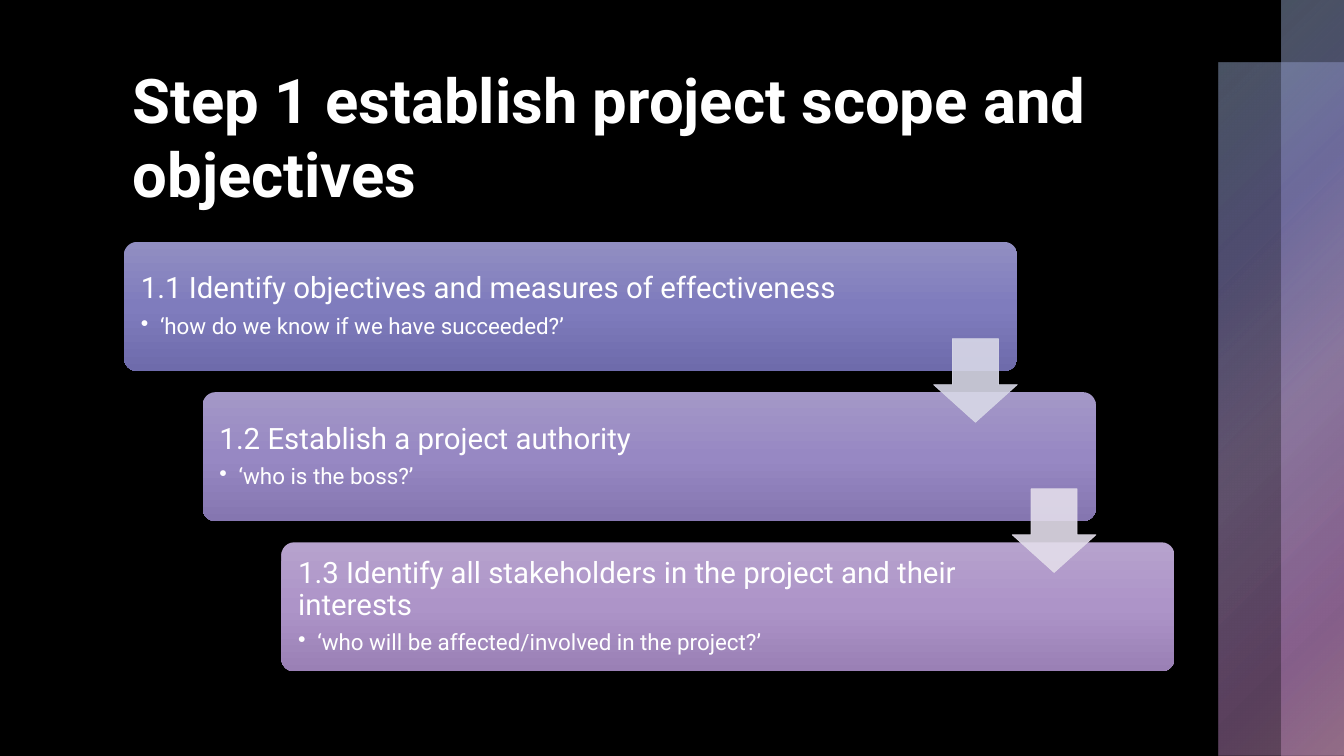
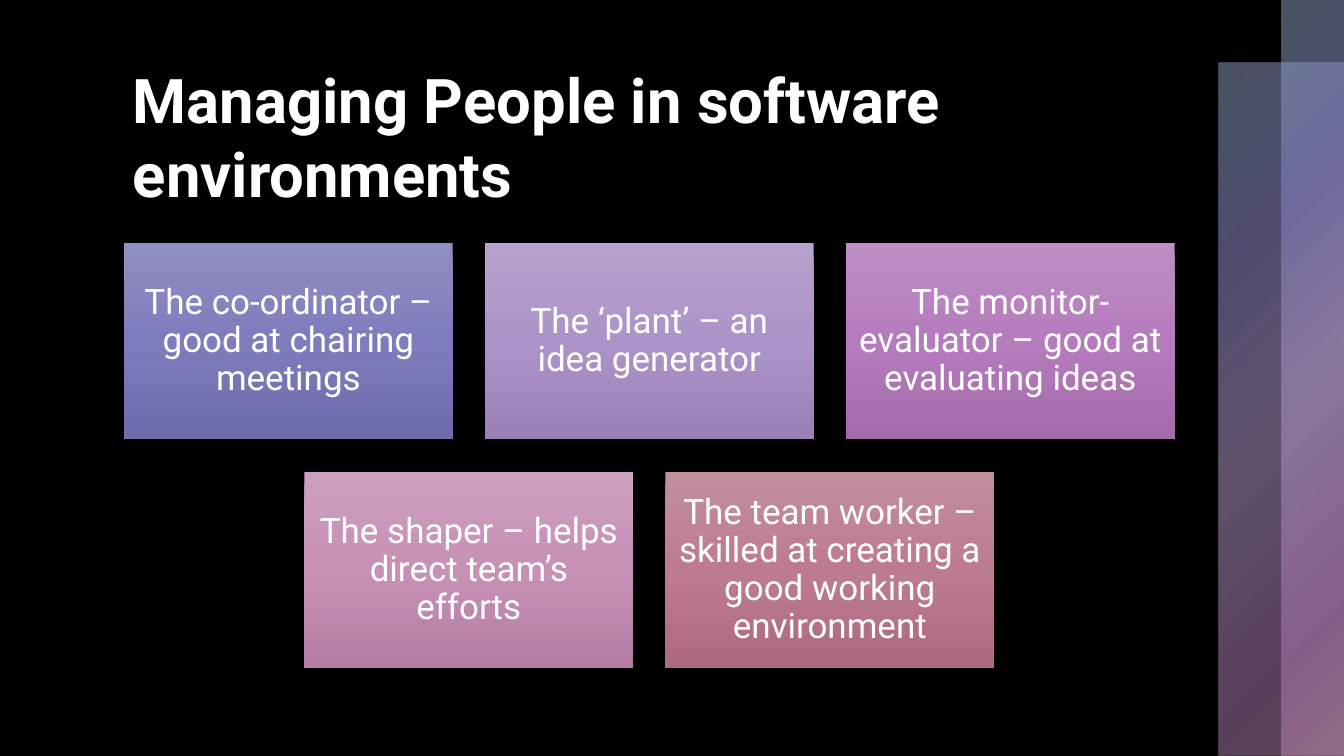
from lxml import etree
from pptx import Presentation
from pptx.dml.color import RGBColor
from pptx.enum.shapes import MSO_SHAPE
from pptx.enum.text import MSO_ANCHOR, PP_ALIGN
from pptx.oxml.ns import qn
from pptx.util import Inches, Pt

RECTANGLE = MSO_SHAPE.RECTANGLE
ROUNDED = MSO_SHAPE.ROUNDED_RECTANGLE
DOWN_ARROW = MSO_SHAPE.DOWN_ARROW
MIDDLE = MSO_ANCHOR.MIDDLE
LEFT = PP_ALIGN.LEFT
CENTER = PP_ALIGN.CENTER

BLACK = RGBColor(0x00, 0x00, 0x00)
WHITE = RGBColor(0xFF, 0xFF, 0xFF)
BLUE = (RGBColor(0x91, 0x8E, 0xC2), RGBColor(0x7F, 0x7C, 0xBD), RGBColor(0x6E, 0x6B, 0xAB))
VIOLET = (RGBColor(0xA4, 0x98, 0xC7), RGBColor(0x97, 0x88, 0xC3), RGBColor(0x85, 0x76, 0xB0))
LILAC = (RGBColor(0xB6, 0xA2, 0xCD), RGBColor(0xAD, 0x94, 0xC8), RGBColor(0x9A, 0x80, 0xB5))
ORCHID = (RGBColor(0xBC, 0x8E, 0xC2), RGBColor(0xB5, 0x7C, 0xBD), RGBColor(0xA4, 0x6B, 0xAB))
PINK = (RGBColor(0xCC, 0xA0, 0xBE), RGBColor(0xC7, 0x91, 0xB6), RGBColor(0xB4, 0x7D, 0xA3))
ROSE = (RGBColor(0xC2, 0x8E, 0x9C), RGBColor(0xBD, 0x7C, 0x8E), RGBColor(0xAB, 0x6B, 0x7C))
PALE_BLUE = RGBColor(0xD8, 0xD8, 0xE7)
PALE_LILAC = RGBColor(0xE3, 0xDD, 0xEA)
BAND_STOPS = (
    (0, RGBColor(0x92, 0xA4, 0xC4), 50),
    (25, RGBColor(0x82, 0x7F, 0xBA), 60),
    (50, RGBColor(0xAD, 0x96, 0xC6), 55),
    (81, RGBColor(0xB3, 0x7F, 0xBA), 50),
    (99, RGBColor(0xC5, 0x93, 0xB5), 50),
)

SLIDE_WIDTH, SLIDE_HEIGHT = 13.33, 7.5
MARGIN = 1.23


def set_alpha(color_element, percent):
    etree.SubElement(color_element, qn("a:alpha"), val=str(percent * 1000))


class Deck:
    font_name = "Roboto"

    def __init__(self):
        self.presentation = Presentation()
        self.presentation.slide_width = Inches(SLIDE_WIDTH)
        self.presentation.slide_height = Inches(SLIDE_HEIGHT)
        self.slide = None

    def new_slide(self, title):
        self.slide = self.presentation.slides.add_slide(self.presentation.slide_layouts[6])
        background = self.slide.background.fill
        background.solid()
        background.fore_color.rgb = BLACK
        for width, top in ((1.24, 0.62), (0.62, 0)):
            band = self.shape(RECTANGLE, SLIDE_WIDTH - width, top, width, SLIDE_HEIGHT - top)
            self.gradient(band, BAND_STOPS, radial=True)
        heading = self.slide.shapes.add_textbox(Inches(1.22), Inches(0.5), Inches(10.37), Inches(1.7))
        frame = heading.text_frame
        frame.word_wrap = True
        frame.vertical_anchor = MIDDLE
        self.set_text(frame.paragraphs[0], title, 44, bold=True)

    def shape(self, kind, left, top, width, height):
        shape = self.slide.shapes.add_shape(kind, Inches(left), Inches(top), Inches(width), Inches(height))
        shape.shadow.inherit = False
        shape.line.fill.background()
        return shape

    def gradient(self, shape, stops, radial=False):
        shape.fill.gradient()
        gradient = shape._element.spPr.find(qn("a:gradFill"))
        for child in list(gradient):
            gradient.remove(child)
        stop_list = etree.SubElement(gradient, qn("a:gsLst"))
        for position, color, alpha in stops:
            stop = etree.SubElement(stop_list, qn("a:gs"), pos=str(position * 1000))
            set_alpha(etree.SubElement(stop, qn("a:srgbClr"), val=str(color)), alpha)
        if radial:
            focus = etree.SubElement(gradient, qn("a:path"), {"path": "circle"})
            etree.SubElement(focus, qn("a:fillToRect"), r="100000", b="100000")
        else:
            etree.SubElement(gradient, qn("a:lin"), ang="5400000", scaled="0")

    def set_text(self, paragraph, text, size, align=LEFT, bold=False):
        paragraph.text = text
        paragraph.alignment = align
        font = paragraph.font
        font.name = self.font_name
        font.size = Pt(size)
        font.bold = bold
        font.color.rgb = WHITE

    def panel(self, kind, left, top, width, height, colors, inset, right_inset):
        panel = self.shape(kind, left, top, width, height)
        self.gradient(panel, [(50 * i, color, 100) for i, color in enumerate(colors)])
        frame = panel.text_frame
        frame.word_wrap = True
        frame.vertical_anchor = MIDDLE
        frame.margin_left = frame.margin_top = frame.margin_bottom = Inches(inset)
        frame.margin_right = Inches(right_inset)
        frame.paragraphs[0].line_spacing = 0.9
        return panel

    def step(self, left, top, width, height, colors, heading, question):
        step = self.panel(ROUNDED, left, top, width, height, colors, 0.13, 1.5)
        step.adjustments[0] = 0.1
        frame = step.text_frame
        frame.paragraphs[0].space_after = Pt(7)
        self.set_text(frame.paragraphs[0], heading, 21)
        bullet = frame.add_paragraph()
        bullet.line_spacing = 0.9
        properties = bullet._p.get_or_add_pPr()
        properties.set("marL", str(Inches(0.19)))
        properties.set("indent", str(Inches(-0.19)))
        etree.SubElement(properties, qn("a:buChar"), char="•")
        self.set_text(bullet, question, 16)

    def card(self, left, top, width, height, colors, text):
        card = self.panel(RECTANGLE, left, top, width, height, colors, 0.1, 0.1)
        self.set_text(card.text_frame.paragraphs[0], text, 25, CENTER)

    def arrow(self, left, top, size, color):
        arrow = self.shape(DOWN_ARROW, left, top, size, size)
        arrow.adjustments[0] = 0.55
        arrow.adjustments[1] = 0.45
        arrow.line.width = Pt(0.5)
        for fill in (arrow.fill, arrow.line.fill):
            fill.solid()
            fill.fore_color.rgb = color
        for color_element in arrow._element.spPr.iter(qn("a:srgbClr")):
            set_alpha(color_element, 90)


def add_scope_slide(deck):
    deck.new_slide("Step 1 establish project scope and objectives")
    first_top, width, height = 2.4, 8.86, 1.28
    shift, pitch, arrow_size = 0.78, 1.49, 0.83
    steps = (
        (BLUE, "1.1 Identify objectives and measures of effectiveness",
         "‘how do we know if we have succeeded?’"),
        (VIOLET, "1.2 Establish a project authority", "‘who is the boss?’"),
        (LILAC, "1.3 Identify all stakeholders in the project and their interests",
         "‘who will be affected/involved in the project?’"),
    )
    for i, (colors, heading, question) in enumerate(steps):
        deck.step(MARGIN + i * shift, first_top + i * pitch, width, height, colors, heading, question)
    for i, color in enumerate((PALE_BLUE, PALE_LILAC)):
        deck.arrow(MARGIN + i * shift + width - arrow_size, first_top + i * pitch + 0.96, arrow_size, color)


def add_people_slide(deck):
    deck.new_slide("Managing People in software environments")
    first_top, width, height, gap = 2.41, 3.26, 1.95, 0.32
    rows = (
        ((BLUE, "The co-ordinator – good at chairing meetings"),
         (LILAC, "The ‘plant’ – an idea generator"),
         (ORCHID, "The monitor-evaluator – good at evaluating ideas")),
        ((PINK, "The shaper – helps direct team’s efforts"),
         (ROSE, "The team worker – skilled at creating a good working environment")),
    )
    for row, roles in enumerate(rows):
        indent = (len(rows[0]) - len(roles)) * (width + gap) / 2
        for column, (colors, text) in enumerate(roles):
            left = MARGIN + indent + column * (width + gap)
            deck.card(left, first_top + row * (height + gap), width, height, colors, text)


def main():
    deck = Deck()
    add_scope_slide(deck)
    add_people_slide(deck)
    deck.presentation.save("out.pptx")


if __name__ == "__main__":
    main()
